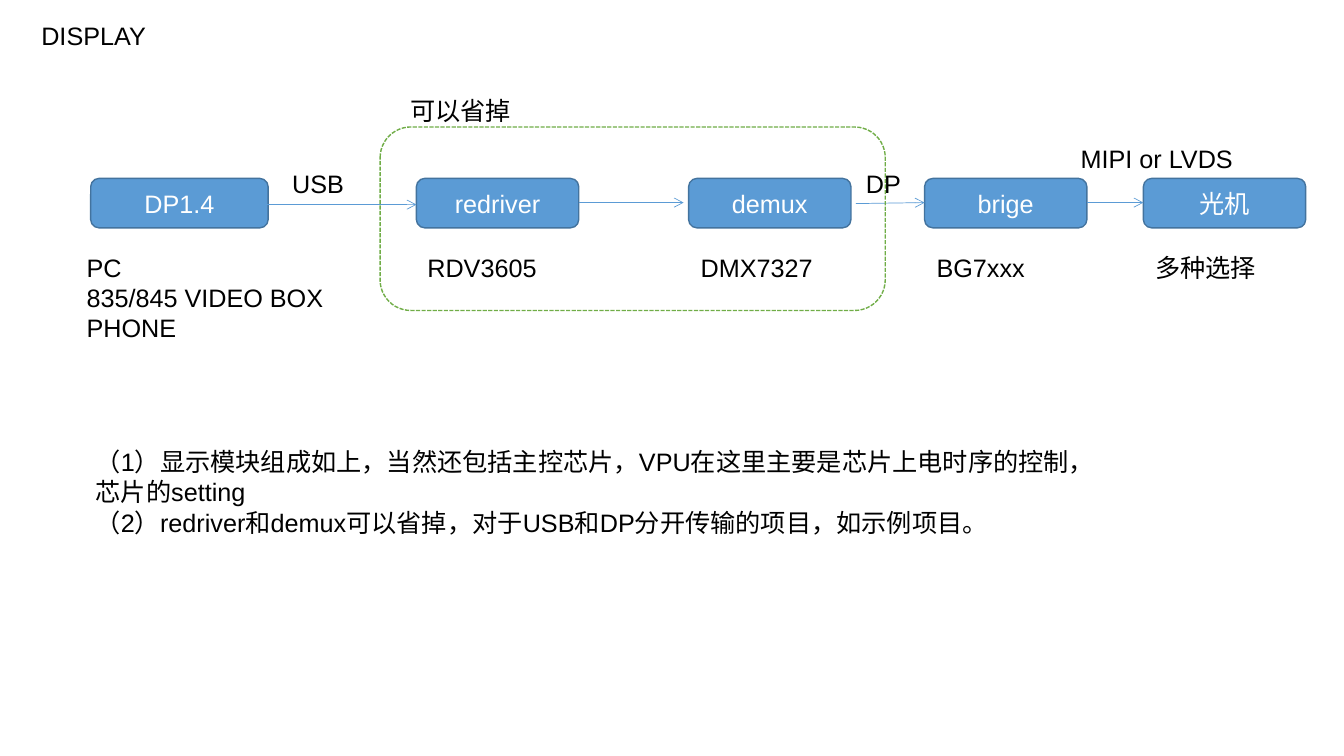
from dataclasses import dataclass

from lxml import etree
from pptx import Presentation
from pptx.dml.color import RGBColor
from pptx.enum.dml import MSO_LINE
from pptx.enum.shapes import MSO_CONNECTOR, MSO_SHAPE
from pptx.enum.text import MSO_ANCHOR, MSO_AUTO_SIZE, PP_ALIGN
from pptx.oxml.ns import qn
from pptx.util import Pt

PX = 9144  # EMU per px, 100 px to the inch
FONT = "Arial"
SIZE = Pt(18)
COLORS = {
    "text": "000000",
    "box_text": "FFFFFF",
    "box": "5B9BD5",
    "box_line": "43739E",
    "optional": "70AD47",
}
ROUND_RECT = MSO_SHAPE.ROUNDED_RECTANGLE
STRAIGHT = MSO_CONNECTOR.STRAIGHT
SYS_DASH = MSO_LINE.SQUARE_DOT
TOP, MIDDLE = MSO_ANCHOR.TOP, MSO_ANCHOR.MIDDLE
LEFT, CENTER = PP_ALIGN.LEFT, PP_ALIGN.CENTER
NO_AUTOFIT = MSO_AUTO_SIZE.NONE
BOX_TOP, BOX_H = 177, 49
LABEL_H = 40


@dataclass
class Stage:
    name: str
    x: int
    w: int = 161


@dataclass
class Label:
    lines: list[str]
    x: int
    y: int
    w: int
    h: int = LABEL_H


@dataclass
class Arrow:
    x1: int
    y1: int
    x2: int
    y2: int


STAGES = [
    Stage("DP1.4", 90, 176),
    Stage("redriver", 413),
    Stage("demux", 683),
    Stage("brige", 917),
    Stage("光机", 1134),
]
LABELS = [
    # Below the stages
    Label(["PC", "835/845 VIDEO BOX", "PHONE"], 76, 245, 299, 131),
    Label(["RDV3605"], 414, 245, 159),
    Label(["DMX7327"], 685, 245, 159),
    Label(["BG7xxx"], 919, 245, 159),
    Label(["多种选择"], 1136, 245, 159),
    # Above the chain
    Label(["可以省掉"], 397, 90, 204),
    Label(["USB"], 280, 162, 82),
    Label(["DP"], 849, 162, 63),
    Label(["MIPI or LVDS"], 1062, 137, 179),
    # Notes
    Label(
        [
            "（1）显示模块组成如上，当然还包括主控芯片，VPU在这里主要是芯片上电时序的控制，芯片的setting",
            "（2）redriver和demux可以省掉，对于USB和DP分开传输的项目，如示例项目。",
        ],
        85, 438, 1015, 131,
    ),
]
ARROWS = [
    Arrow(265, 203, 413, 203),
    Arrow(574, 201, 678, 201),
    Arrow(849, 202, 917, 201),
    Arrow(1078, 201, 1134, 201),
]


def rgb(name: str) -> RGBColor:
    return RGBColor.from_string(COLORS[name])


def px(*lengths: int) -> list[int]:
    return [n * PX for n in lengths]


def write(tf, lines: list[str], color: str, align=LEFT, anchor=TOP) -> None:
    tf.word_wrap = True
    tf.auto_size = NO_AUTOFIT
    tf.vertical_anchor = anchor
    for i, line in enumerate(lines):
        p = tf.add_paragraph() if i else tf.paragraphs[0]
        p.alignment = align
        r = p.add_run()
        r.text = line
        r.font.size = SIZE
        r.font.name = FONT
        r.font.color.rgb = rgb(color)


def add_round_rect(s, x: int, y: int, w: int, h: int, line: str):
    sp = s.shapes.add_shape(ROUND_RECT, *px(x, y, w, h))
    sp.shadow.inherit = False
    sp.line.color.rgb = rgb(line)
    sp.line.width = Pt(1)
    return sp


def add_stage(s, stage: Stage) -> None:
    sp = add_round_rect(s, stage.x, BOX_TOP, stage.w, BOX_H, "box_line")
    sp.fill.solid()
    sp.fill.fore_color.rgb = rgb("box")
    write(sp.text_frame, [stage.name], "box_text", CENTER, MIDDLE)


def add_label(s, label: Label) -> None:
    sp = s.shapes.add_textbox(*px(label.x, label.y, label.w, label.h))
    write(sp.text_frame, label.lines, "text")


def add_arrow(s, arrow: Arrow) -> None:
    cx = s.shapes.add_connector(
        STRAIGHT, *px(arrow.x1, arrow.y1, arrow.x2, arrow.y2))
    cx.line.color.rgb = rgb("box")
    cx.line.width = Pt(0.5)
    etree.SubElement(cx.line._get_or_add_ln(), qn("a:tailEnd"), type="arrow")
    etree.SubElement(cx._element.spPr, qn("a:effectLst"))


def main() -> None:
    prs = Presentation()
    prs.slide_width, prs.slide_height = px(1333, 750)
    s = prs.slides.add_slide(prs.slide_layouts[5])

    # Title
    title = s.shapes.title
    title.left, title.top, title.width, title.height = px(31, 15, 518, LABEL_H)
    write(title.text_frame, ["DISPLAY"], "text")

    # Signal chain
    for stage in STAGES:
        add_stage(s, stage)
    for arrow in ARROWS:
        add_arrow(s, arrow)

    # Frame around the optional stages
    frame = add_round_rect(s, 377, 126, 501, 182, "optional")
    frame.fill.background()
    frame.line.dash_style = SYS_DASH

    # Labels and notes
    for label in LABELS:
        add_label(s, label)

    prs.save("out.pptx")


if __name__ == "__main__":
    main()
